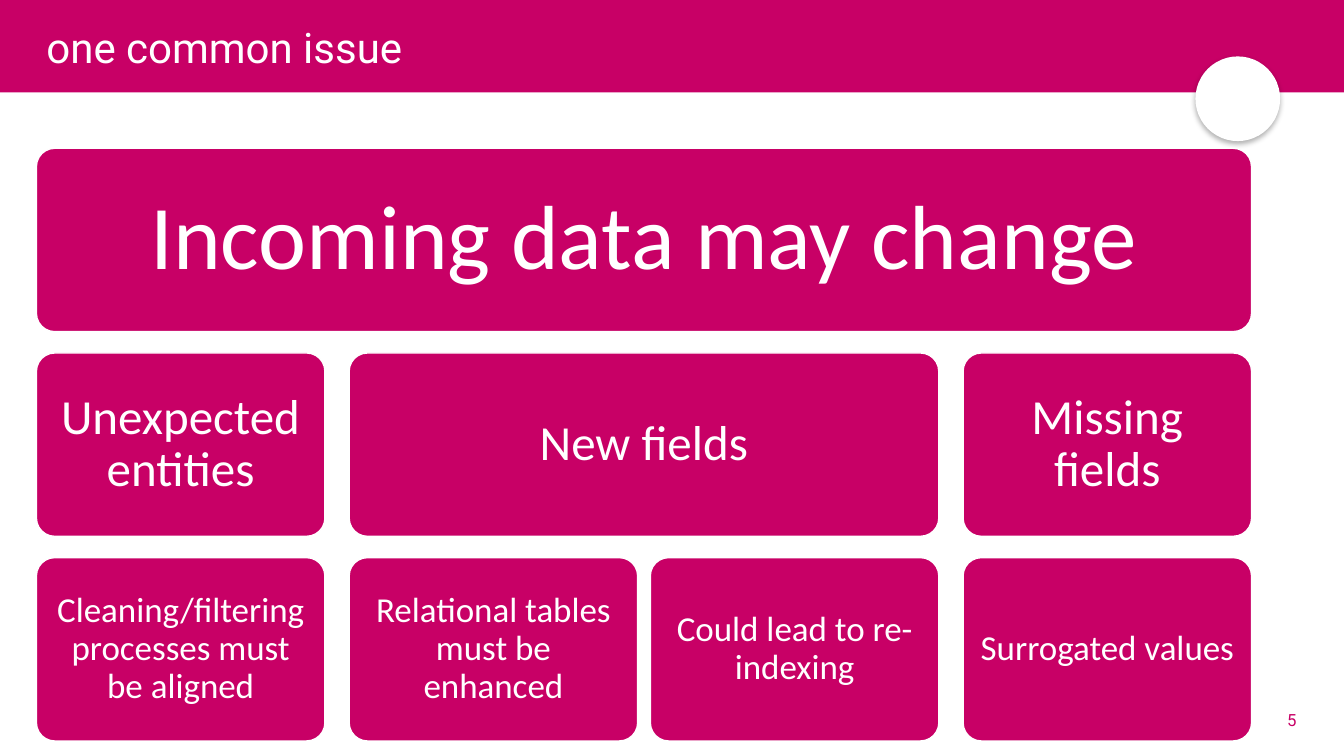
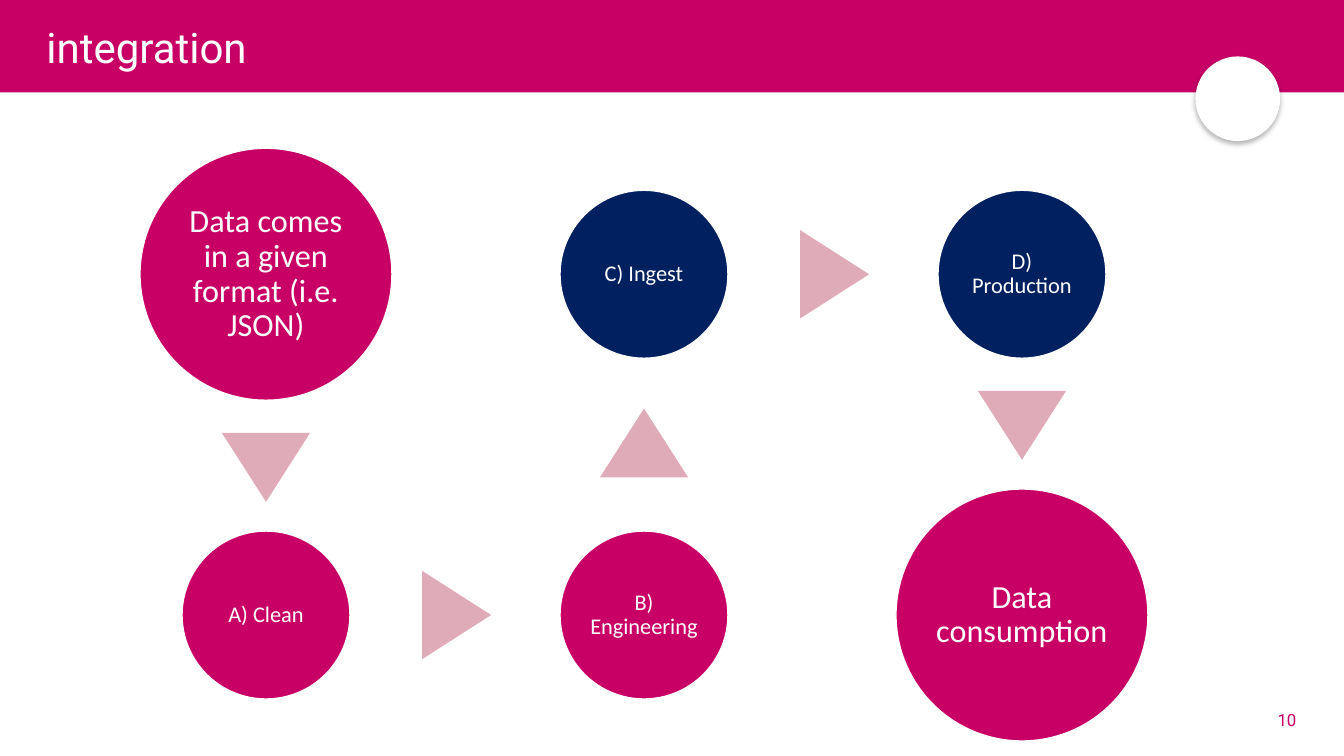
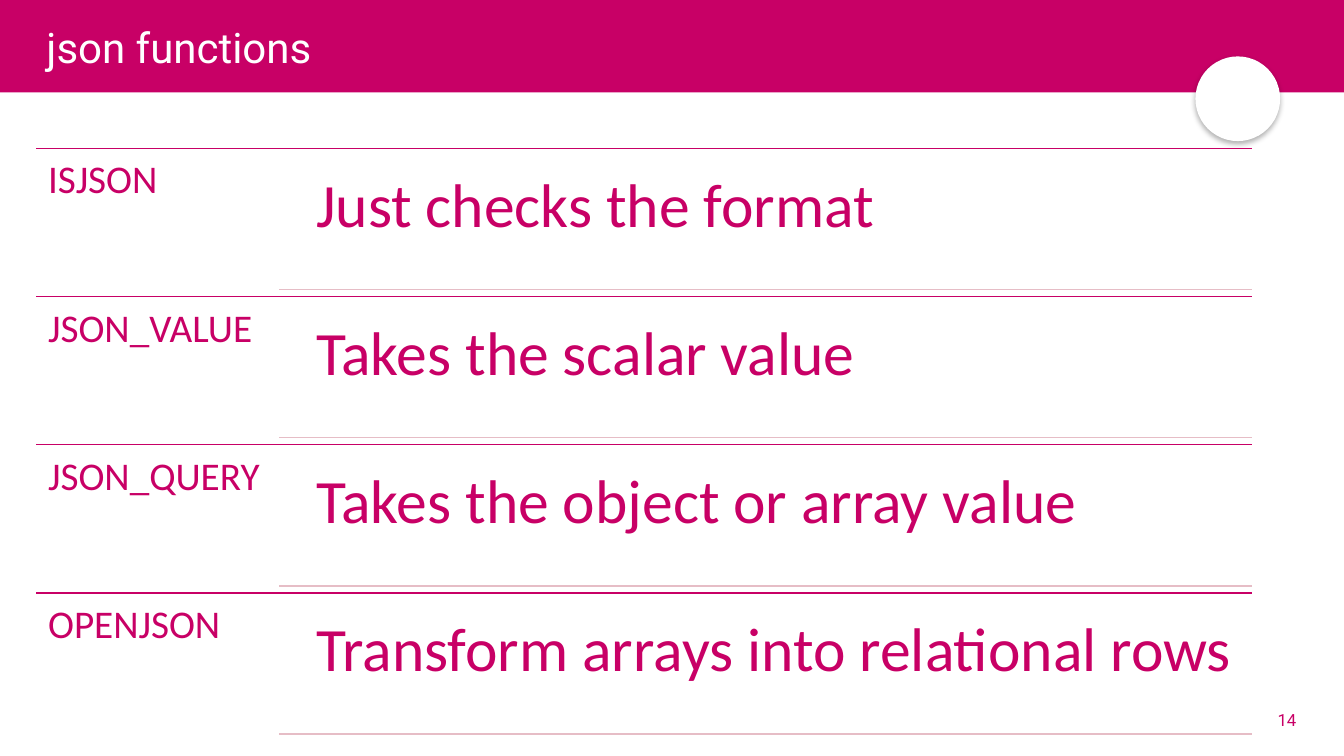
from itertools import pairwise

from lxml.etree import SubElement
from pptx import Presentation
from pptx.dml.color import RGBColor
from pptx.enum.shapes import MSO_CONNECTOR as Connector, MSO_SHAPE as Preset
from pptx.enum.text import MSO_ANCHOR as Anchor, PP_ALIGN as Align
from pptx.oxml.ns import qn
from pptx.util import Pt

COLORS = {
    "brand": "C80066",
    "navy": "002060",
    "arrow": "E0ABB8",
    "rule": "E6BDC6",
    "white": "FFFFFF",
    "black": "000000",
}
HEADING_FONT, BODY_FONT = "Roboto", "Calibri"
BODY = (26, 105.9, 868, 423.4)


# Shared helpers
def color(name):
    return RGBColor.from_string(COLORS[name])


def apply(target, formats):
    for name, value in formats.items():
        setattr(target, name, value)


def points(*lengths):
    return [Pt(length) for length in lengths]


def write(shape, text, size, tint="white", font=BODY_FONT, align=Align.CENTER,
          anchor=Anchor.MIDDLE, inset=None, spacing=0.9):
    frame = shape.text_frame
    apply(frame, {"word_wrap": True, "vertical_anchor": anchor})
    if inset is not None:
        sides = ("left", "top", "right", "bottom")
        apply(frame, {f"margin_{side}": Pt(inset) for side in sides})
    para = frame.paragraphs[0]
    apply(para, {"alignment": align, "line_spacing": spacing})
    span = para.add_run()
    span.text = text
    apply(span.font, {"name": font, "size": Pt(size)})
    span.font.color.rgb = color(tint)


def draw(page, preset, box, fill, outline=None):
    shape = page.shapes.add_shape(preset, *points(*box))
    shape.shadow.inherit = False
    shape.fill.solid()
    shape.fill.fore_color.rgb = color(fill)
    if outline:
        shape.line.color.rgb = color(outline)
        shape.line.width = Pt(1)
    else:
        shape.line.fill.background()
    return shape


def draw_rule(page, left, right, top, tint):
    rule = page.shapes.add_connector(
        Connector.STRAIGHT, *points(left, top, right, top))
    rule.line.color.rgb = color(tint)
    rule.line.width = Pt(1)
    SubElement(rule.element.spPr, qn("a:effectLst"))


# Band and badge, moved to the master so that every slide shows them
def furnish_master(deck, page):
    band = draw(page, Preset.RECTANGLE, (0, 0, 960, 66), "brand")
    badge = draw(page, Preset.OVAL, (853.9, 40.3, 60.5, 60.5), "white")
    effects = badge.element.spPr.find(qn("a:effectLst"))
    shadow = SubElement(effects, qn("a:outerShdw"), blurRad=str(Pt(4)),
                        dist=str(Pt(2)), dir="5400000", rotWithShape="0")
    shade = SubElement(shadow, qn("a:srgbClr"), val=COLORS["black"])
    SubElement(shade, qn("a:alpha"), val="30000")
    for position, part in enumerate((band, badge), start=2):
        deck.slide_master.shapes.element.insert(position, part.element)


def add_page(deck, title, number):
    page = deck.slides.add_slide(deck.slide_layouts.get_by_name("Title Only"))
    heading = page.shapes.title
    places = zip(("left", "top", "width", "height"),
                 points(26, 10.8, 868, 49.7))
    apply(heading, dict(places))
    write(heading, title, 30, font=HEADING_FONT, align=Align.LEFT)
    corner = page.shapes.add_textbox(*points(889.2, 499.7, 43.9, 28.8))
    write(corner, str(number), 12, "brand", HEADING_FONT, Align.RIGHT,
          spacing=1)
    return page


# Tiers of rounded tiles: one headline, branches, leaves
def draw_tiers(page, box, headline, branches):
    left, top, width, height = box
    tile_height, branch_gap, leaf_gap = 131, 17.3, 9
    step = (height - tile_height) / 2
    leaf_count = sum(len(leaves) for _, leaves in branches)
    gaps = (branch_gap * (len(branches) - 1)
            + leaf_gap * (leaf_count - len(branches)))
    leaf_width = (width - gaps) / leaf_count

    def tile(text, tier, tile_left, tile_width, size):
        shape = draw(page, Preset.ROUNDED_RECTANGLE,
                     (tile_left, top + tier * step, tile_width, tile_height),
                     "brand", "white")
        shape.adjustments[0] = 0.1
        write(shape, text, size, inset=0.3 * size)

    tile(headline, 0, left, width, 65)
    for branch, leaves in branches:
        branch_width = len(leaves) * (leaf_width + leaf_gap) - leaf_gap
        tile(branch, 1, left, branch_width, 35)
        for index, leaf in enumerate(leaves):
            tile(leaf, 2, left + index * (leaf_width + leaf_gap),
                 leaf_width, 25)
        left += branch_width + branch_gap


# Circles that run down, up and down again, joined by triangles
def draw_flow(page, box, steps):
    left, top, width, height = box
    column_step, large, small = 270, 180, 120
    arrow_width, arrow_height, lead = 63, 49.2, 1.2
    cells = [(0, 0), (0, 1), (1, 1), (1, 0), (2, 0), (2, 1)]
    stops = []
    for index, ((column, row), (text, fill)) in enumerate(zip(cells, steps)):
        is_end = index in (0, len(steps) - 1)
        diameter, size = (large, 23) if is_end else (small, 16)
        x = left + width / 2 + (column - 1) * column_step
        y = top + large / 2 + row * (height - large)
        circle = draw(page, Preset.OVAL,
                      (x - diameter / 2, y - diameter / 2, diameter, diameter),
                      fill, "white")
        write(circle, text, size, inset=0.1 * size)
        stops.append((x, y, diameter / 2))

    for (x, y, radius), (next_x, next_y, next_radius) in pairwise(stops):
        # Middle of the gap between both edges, a little ahead
        offset = (radius - next_radius) / 2 + lead
        middle_x, middle_y = (x + next_x) / 2, (y + next_y) / 2
        if next_x > x:
            middle_x, turn = middle_x + offset, 90
        elif next_y > y:
            middle_y, turn = middle_y + offset, 180
        else:
            middle_y, turn = middle_y - offset, 0
        arrow = draw(page, Preset.ISOSCELES_TRIANGLE,
                     (middle_x - arrow_width / 2, middle_y - arrow_height / 2,
                      arrow_width, arrow_height), "arrow")
        arrow.rotation = turn


# Ruled rows: a name on the left, its meaning on the right
def draw_glossary(page, box, entries):
    left, top, width, height = box
    right, row_height = left + width, height / len(entries)
    name_width, indent, pad, detail_height = width / 5, 13, 5.2, 95.7
    for index, (name, meaning) in enumerate(entries):
        row_top = top + index * row_height
        detail_left = left + name_width + indent
        draw_rule(page, left, right, row_top, "brand")
        cells = [
            (name, 28, (left, row_top, name_width, row_height)),
            (meaning, 44, (detail_left, row_top + pad,
                           right - detail_left, detail_height)),
        ]
        for text, size, place in cells:
            cell = page.shapes.add_textbox(*points(*place))
            write(cell, text, size, "brand", align=Align.LEFT,
                  anchor=Anchor.TOP, inset=0.3 * size)
        draw_rule(page, left + name_width, right,
                  row_top + pad + detail_height, "rule")


deck = Presentation()
apply(deck, {"slide_width": Pt(960), "slide_height": Pt(540)})

# Slide: one common issue
issue = add_page(deck, "one common issue", 5)
furnish_master(deck, issue)
draw_tiers(issue, BODY, "Incoming data may change", [
    ("Unexpected entities", ["Cleaning/filtering processes must be aligned"]),
    ("New fields", ["Relational tables must be enhanced",
                    "Could lead to re-indexing"]),
    ("Missing fields", ["Surrogated values"]),
])

# Slide: integration
integration = add_page(deck, "integration", 10)
draw_flow(integration, BODY, [
    ("Data comes in a given format (i.e. JSON)", "brand"),
    ("A) Clean", "brand"),
    ("B) Engineering", "brand"),
    ("C) Ingest", "navy"),
    ("D) Production", "navy"),
    ("Data consumption", "brand"),
])

# Slide: json functions
functions = add_page(deck, "json functions", 14)
draw_glossary(functions, BODY, [
    ("ISJSON", "Just checks the format"),
    ("JSON_VALUE", "Takes the scalar value"),
    ("JSON_QUERY", "Takes the object or array value"),
    ("OPENJSON", "Transform arrays into relational rows"),
])

deck.save("out.pptx")
